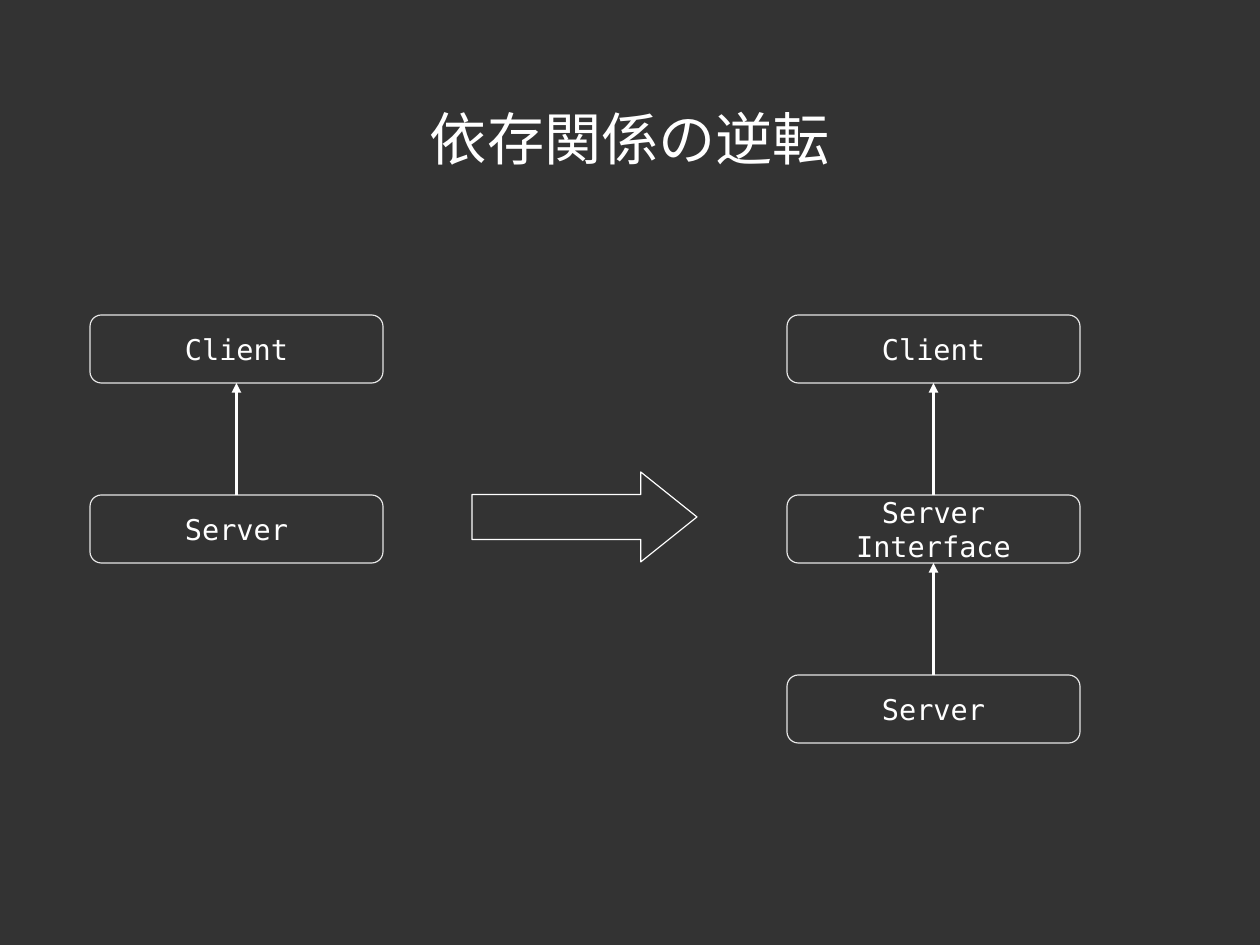
"""Builds the slide that shows how a dependency is inverted through an interface."""
from lxml import etree
from pptx import Presentation
from pptx.dml.color import RGBColor
from pptx.enum.shapes import MSO_CONNECTOR, MSO_SHAPE
from pptx.enum.text import MSO_ANCHOR, MSO_AUTO_SIZE, PP_ALIGN
from pptx.oxml.ns import qn
from pptx.util import Pt

TITLE = "依存関係の逆転"
STACKS = [
    (90, ["Client", "Server"]),
    (787, ["Client", "Server Interface", "Server"]),
]

EMU_PER_PX = 8000
SLIDE_SIZE = (1260, 945)
TITLE_BOX = (63, 87, 1134, 102)
CHANGE_ARROW = (472, 472, 225, 90)
STACK_TOP, STEP = 315, 180
BOX_WIDTH, BOX_HEIGHT = 293, 68

BACKGROUND = RGBColor(0x33, 0x33, 0x33)
OUTLINE = RGBColor(0xE6, 0xE6, 0xE6)
WHITE = RGBColor(0xFF, 0xFF, 0xFF)
FONT = "DejaVu Sans Mono"

ROUNDED, RIGHT_ARROW = MSO_SHAPE.ROUNDED_RECTANGLE, MSO_SHAPE.RIGHT_ARROW
STRAIGHT = MSO_CONNECTOR.STRAIGHT
MIDDLE, CENTER = MSO_ANCHOR.MIDDLE, PP_ALIGN.CENTER
NO_AUTOFIT = MSO_AUTO_SIZE.NONE
TOP_SIDE, BOTTOM_SIDE = 0, 2


def emu(lengths):
    return [length * EMU_PER_PX for length in lengths]


def write(frame, words, size):
    frame.word_wrap = True
    frame.auto_size = NO_AUTOFIT
    frame.vertical_anchor = MIDDLE
    paragraph = frame.paragraphs[0]
    paragraph.alignment = CENTER
    run = paragraph.add_run()
    run.text = words
    run.font.name = FONT
    run.font.size = Pt(size)
    run.font.color.rgb = WHITE


def add_outline(slide, preset, bounds, color):
    outline = slide.shapes.add_shape(preset, *emu(bounds))
    outline.shadow.inherit = False
    outline.fill.background()
    outline.line.color.rgb = color
    outline.line.width = Pt(0)
    return outline


def add_dependency(slide, lower, upper):
    dependency = slide.shapes.add_connector(STRAIGHT, 0, 0, 0, 0)
    dependency.begin_connect(lower, TOP_SIDE)
    dependency.end_connect(upper, BOTTOM_SIDE)
    dependency.line.color.rgb = WHITE
    dependency.line.width = Pt(0)
    properties = dependency._element.spPr
    etree.SubElement(properties.find(qn("a:ln")), qn("a:tailEnd"), type="triangle")
    etree.SubElement(properties, qn("a:effectLst"))


def add_stack(slide, left, names):
    upper = None
    for level, name in enumerate(names):
        bounds = (left, STACK_TOP + level * STEP, BOX_WIDTH, BOX_HEIGHT)
        box = add_outline(slide, ROUNDED, bounds, OUTLINE)
        write(box.text_frame, name, 18)
        if upper is not None:
            add_dependency(slide, box, upper)
        upper = box


def main():
    deck = Presentation()
    deck.slide_width, deck.slide_height = emu(SLIDE_SIZE)
    slide = deck.slides.add_slide(deck.slide_layouts[5])
    slide.background.fill.solid()
    slide.background.fill.fore_color.rgb = BACKGROUND

    title = slide.shapes.title
    title.left, title.top, title.width, title.height = emu(TITLE_BOX)
    frame = title.text_frame
    frame.margin_left = frame.margin_top = frame.margin_right = frame.margin_bottom = 0
    write(frame, TITLE, 36)

    for left, names in STACKS:
        add_stack(slide, left, names)

    change = add_outline(slide, RIGHT_ARROW, CHANGE_ARROW, WHITE)
    change.adjustments[1] = 0.625
    deck.save("out.pptx")


if __name__ == "__main__":
    main()
